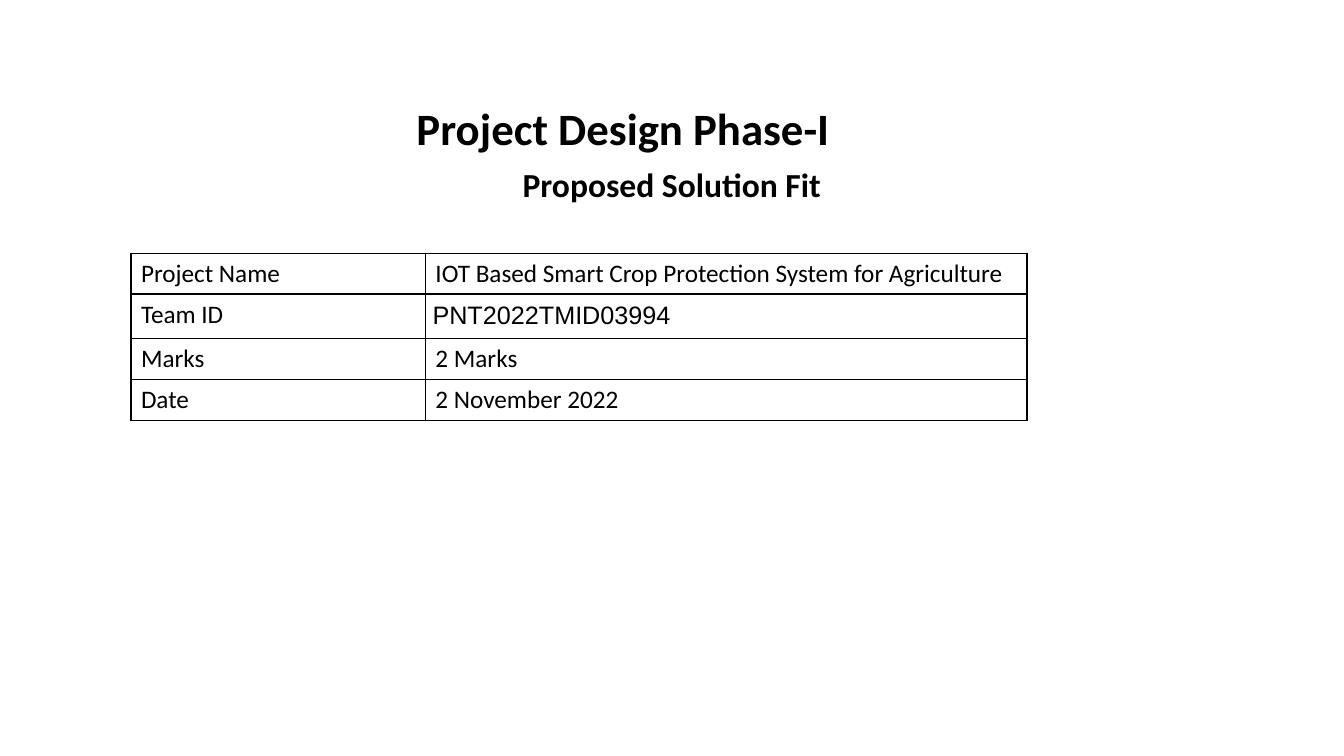
"""Build the project design phase title slide with its details table."""
import pptx
import pptx.dml.color
import pptx.enum.text
import pptx.oxml
import pptx.oxml.ns
import pptx.util
from lxml import etree

Cm, Pt = pptx.util.Cm, pptx.util.Pt
BLACK = pptx.dml.color.RGBColor(0, 0, 0)
WHITE = pptx.dml.color.RGBColor(255, 255, 255)
ANCHOR = pptx.enum.text.MSO_ANCHOR
DETAILS = [
    ("Project Name", "IOT Based Smart Crop Protection System for Agriculture"),
    ("Team ID", "PNT2022TMID03994"),
    ("Marks", "2 Marks"),
    ("Date", "2 November 2022"),
]


def style(p, size, bold=False, name="Calibri"):
    for r in p.runs:
        r.font.size, r.font.bold, r.font.name = Pt(size), bold, name
        r.font.color.rgb = BLACK


def add_heading(s, box, text, size, anchor, before=0):
    sp = s.shapes.add_textbox(*(Cm(v) for v in box))
    tf = sp.text_frame
    tf.word_wrap = True
    tf.vertical_anchor = anchor
    tf.text = text
    p = tf.paragraphs[0]
    p.alignment = pptx.enum.text.PP_ALIGN.CENTER
    p.line_spacing = 0.9
    p.space_before = Pt(before)
    style(p, size, bold=True)


def add_borders(cell):
    tc_pr = cell._tc.get_or_add_tcPr()
    for i, side in enumerate(("lnL", "lnR", "lnT", "lnB")):
        ln = pptx.oxml.parse_xml(
            f'<a:{side} {pptx.oxml.ns.nsdecls("a")} w="{Pt(1)}"/>')
        fill = etree.SubElement(ln, pptx.oxml.ns.qn("a:solidFill"))
        etree.SubElement(fill, pptx.oxml.ns.qn("a:srgbClr"), val=str(BLACK))
        tc_pr.insert(i, ln)


def add_details(s, box, rows, label_width):
    left, top, width, height = box
    table = s.shapes.add_table(
        len(rows), 2, Cm(left), Cm(top), Cm(width), Cm(height)).table
    table.first_row = table.horz_banding = False
    table.columns[0].width = Cm(label_width)
    table.columns[1].width = Cm(width - label_width)
    for i, row in enumerate(rows):
        table.rows[i].height = Cm(height / len(rows))
        for j, text in enumerate(row):
            cell = table.cell(i, j)
            cell.text = text
            cell.fill.solid()
            cell.fill.fore_color.rgb = WHITE
            style(cell.text_frame.paragraphs[0], 18)
            add_borders(cell)
    team_id = table.cell(1, 1)
    team_id.margin_left = team_id.margin_right = Cm(0.18)
    team_id.margin_top = team_id.margin_bottom = Cm(0.18)
    style(team_id.text_frame.paragraphs[0], 18, name="Arial")


def main():
    prs = pptx.Presentation()
    prs.slide_width, prs.slide_height = Cm(33.87), Cm(19.05)
    s = prs.slides.add_slide(prs.slide_layouts[6])
    add_heading(s, (6.88, 3.12, 17.65, 0.92), "Project Design Phase-I", 32,
                ANCHOR.BOTTOM)
    add_heading(s, (4.23, 4.11, 25.4, 4.6), "Proposed Solution Fit", 24,
                ANCHOR.TOP, before=10)
    add_details(s, (3.3, 6.38, 22.58, 4.12), DETAILS, 7.42)
    prs.save("out.pptx")


main()
